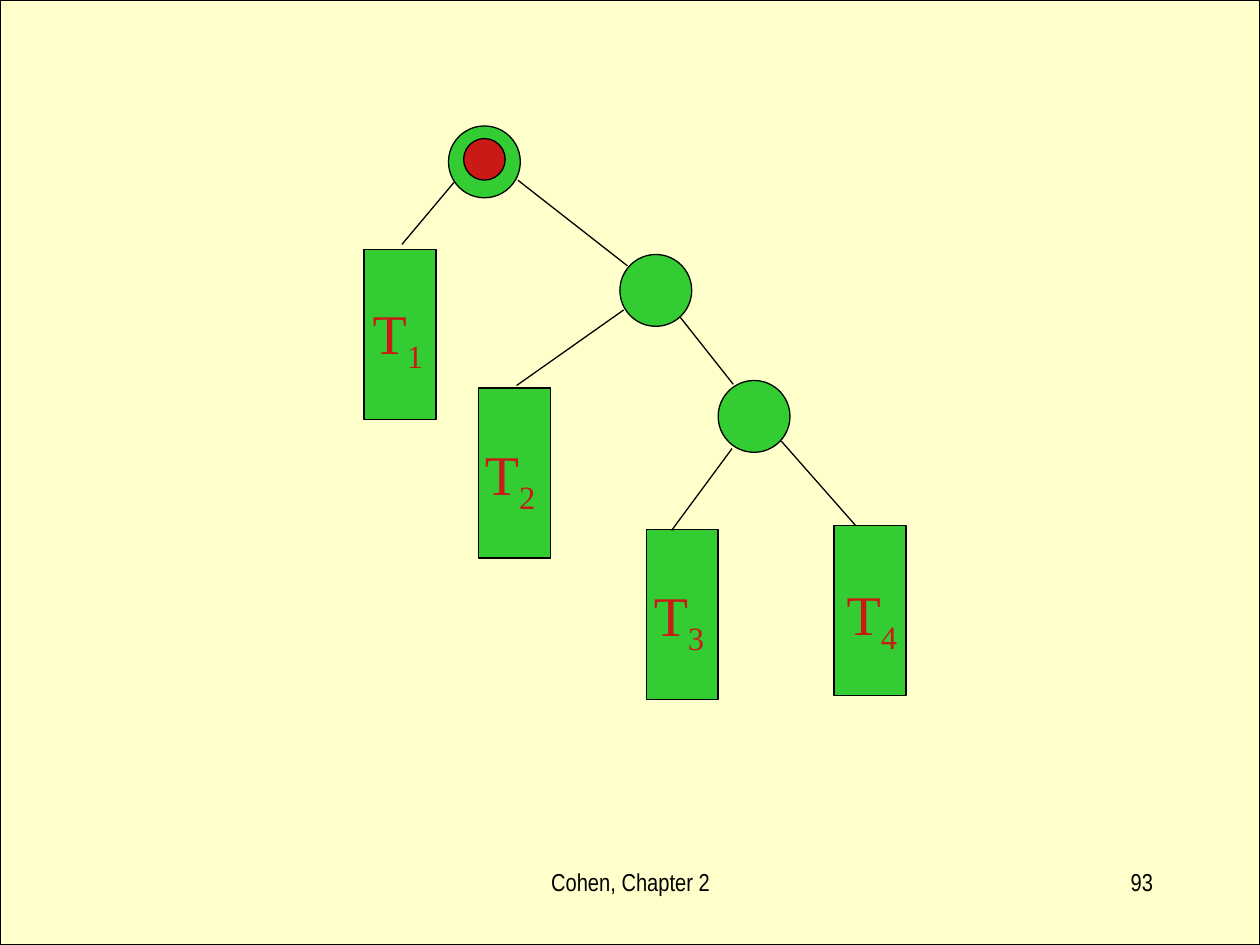
from dataclasses import dataclass

import lxml.etree
import pptx
import pptx.dml.color
import pptx.enum.shapes
import pptx.enum.text
import pptx.oxml.ns
import pptx.util

Inches = pptx.util.Inches
Pt = pptx.util.Pt
RGBColor = pptx.dml.color.RGBColor
MSO_SHAPE = pptx.enum.shapes.MSO_SHAPE
PP_ALIGN = pptx.enum.text.PP_ALIGN


@dataclass(frozen=True)
class Theme:
    """Colours, fonts and sizes of the tree slide."""

    paper: str = "FFFFCC"
    node: str = "33CC33"
    accent: str = "CA1A16"
    ink: str = "000000"
    label_font: str = "Times New Roman"
    footer_font: str = "Arial Narrow"
    label_size: int = 32
    footer_size: int = 14
    line_width: float = 0.75


THEME = Theme()
NODE_SIZE = 0.57
SUBTREE_HEIGHT = 1.35
LABEL_WIDTH, LABEL_HEIGHT = 0.72, 0.71

NODES = [(5.7, 3.02), (4.92, 2.02), (3.56, 1)]
SUBTREES = [(2.89, 1.98), (3.8, 3.08), (5.13, 4.2), (6.62, 4.17)]
LABELS = [(2.86, 2.32), (3.75, 3.44), (5.09, 4.56), (6.62, 4.55)]
EDGES = [
    (3.61, 1.44, 3.19, 1.94),
    (4.11, 1.43, 4.98, 2.11),
    (4.95, 2.46, 4.1, 3.06),
    (5.4, 2.52, 5.82, 3.05),
    (5.81, 3.56, 5.33, 4.21),
    (6.2, 3.5, 6.79, 4.17),
]


def set_line(line):
    """Give an outline or edge the common thin ink line."""
    line.color.rgb = RGBColor.from_string(THEME.ink)
    line.width = Pt(THEME.line_width)


def add_box(s, shape_type, x, y, w, h, fill):
    """Add an outlined preset shape."""
    sp = s.shapes.add_shape(shape_type, Inches(x), Inches(y), Inches(w), Inches(h))
    sp.shadow.inherit = False
    sp.fill.solid()
    sp.fill.fore_color.rgb = RGBColor.from_string(fill)
    set_line(sp.line)


def add_edge(s, x1, y1, x2, y2):
    """Add a straight edge of the tree."""
    cxn = s.shapes.add_connector(
        pptx.enum.shapes.MSO_CONNECTOR.STRAIGHT,
        Inches(x1), Inches(y1), Inches(x2), Inches(y2),
    )
    set_line(cxn.line)
    sp_pr = cxn._element.spPr
    lxml.etree.SubElement(sp_pr, pptx.oxml.ns.qn("a:effectLst"))


def add_text(s, text, x, y, w, h, font, size, color, align=PP_ALIGN.LEFT):
    """Add a one-paragraph text box and return its paragraph."""
    tb = s.shapes.add_textbox(Inches(x), Inches(y), Inches(w), Inches(h))
    tf = tb.text_frame
    tf.word_wrap = True
    p = tf.paragraphs[0]
    p.alignment = align
    p.font.name = font
    p.font.size = Pt(size)
    p.font.color.rgb = RGBColor.from_string(color)
    p.add_run().text = text
    return p


def add_label(s, number, x, y):
    """Add a subtree label T with a subscript number."""
    p = add_text(s, "T", x, y, LABEL_WIDTH, LABEL_HEIGHT,
                 THEME.label_font, THEME.label_size, THEME.accent)
    r = p.add_run()
    r.text = str(number)
    r._r.get_or_add_rPr().set("baseline", "-25000")


def add_footer(s, text, x, w, align):
    """Add a text box on the footer row."""
    add_text(s, text, x, 6.83, w, 0.5,
             THEME.footer_font, THEME.footer_size, THEME.ink, align)


def main():
    """Build the tree slide and save it."""
    prs = pptx.Presentation()
    prs.slide_width, prs.slide_height = Inches(10), Inches(7.5)
    s = prs.slides.add_slide(prs.slide_layouts[6])
    add_box(s, MSO_SHAPE.RECTANGLE, 0, 0, 10, 7.5, THEME.paper)
    for x, y in NODES:
        add_box(s, MSO_SHAPE.OVAL, x, y, NODE_SIZE, NODE_SIZE, THEME.node)
    for x, y in SUBTREES:
        add_box(s, MSO_SHAPE.RECTANGLE, x, y, NODE_SIZE, SUBTREE_HEIGHT, THEME.node)
    add_box(s, MSO_SHAPE.OVAL, 3.68, 1.1, 0.33, 0.33, THEME.accent)
    for edge in EDGES:
        add_edge(s, *edge)
    for number, (x, y) in enumerate(LABELS, start=1):
        add_label(s, number, x, y)
    add_footer(s, "Cohen, Chapter 2", 3.42, 3.17, PP_ALIGN.CENTER)
    add_footer(s, "93", 7.17, 2.08, PP_ALIGN.RIGHT)
    prs.save("out.pptx")


if __name__ == "__main__":
    main()
